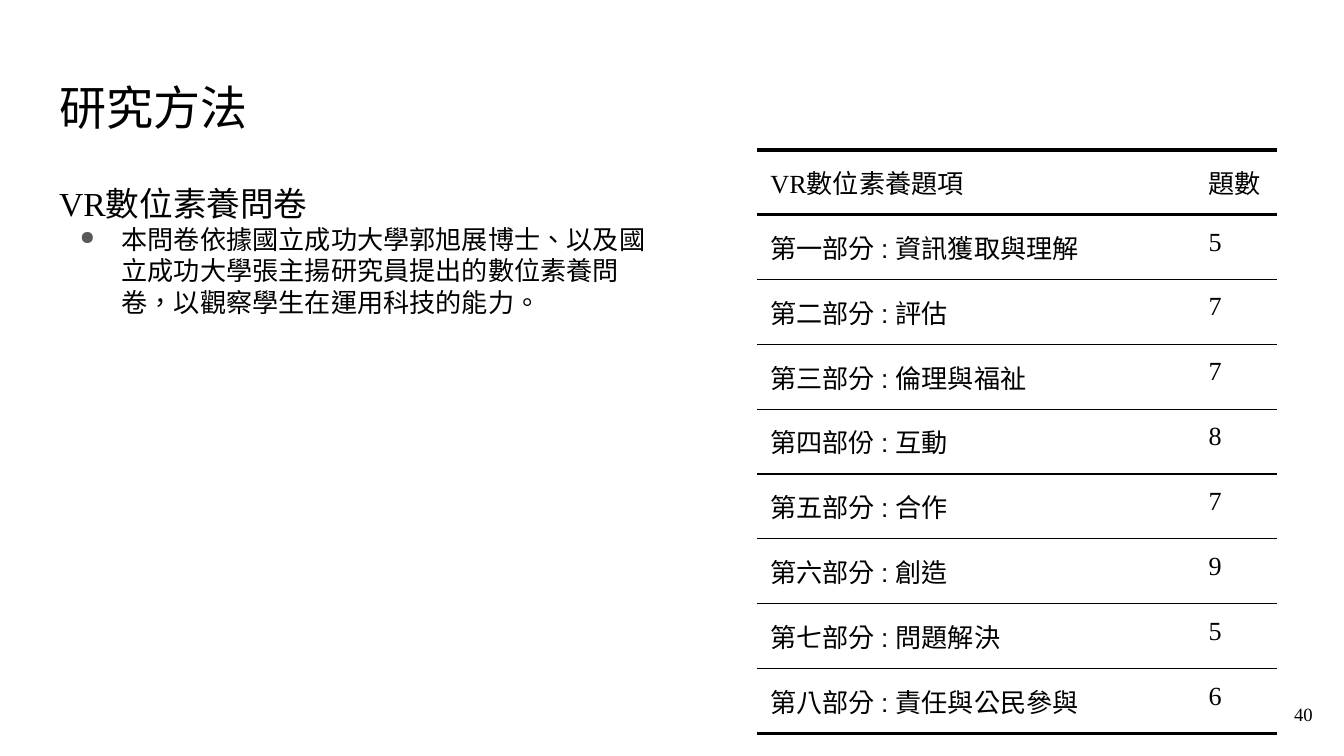
from lxml import etree
from pptx import Presentation
from pptx import util as u
from pptx.dml.color import RGBColor
from pptx.enum import text
from pptx.oxml import ns

BLACK = RGBColor(0x00, 0x00, 0x00)
BULLET_GRAY = RGBColor(0x59, 0x59, 0x59)
SERIF = "Times New Roman"
SANS = "Arial"
INSET = u.Cm(0.25)
THICK, THIN = 2.25, 0.75

HEADER = ([("VR", SERIF), ("數位素養題項", SANS)], [("題數", SANS)])
SECTIONS = [
    ("第一部分 : 資訊獲取與理解", 5),
    ("第二部分 : 評估", 7),
    ("第三部分 : 倫理與福祉", 7),
    ("第四部份 : 互動", 8),
    ("第五部分 : 合作", 7),
    ("第六部分 : 創造", 9),
    ("第七部分 : 問題解決", 5),
    ("第八部分 : 責任與公民參與", 6),
]


def add_run(paragraph, content, size, font=SERIF):
    run = paragraph.add_run()
    run.text = content
    run.font.size = u.Pt(size)
    run.font.name = font
    run.font.color.rgb = BLACK
    run._r.get_or_add_rPr().set("lang", "zh-TW")


def add_text_frame(slide, box, anchor=text.MSO_ANCHOR.TOP):
    frame = slide.shapes.add_textbox(*box).text_frame
    frame.word_wrap = True
    frame.vertical_anchor = anchor
    frame.margin_left = frame.margin_right = INSET
    frame.margin_top = frame.margin_bottom = INSET
    return frame


def add_bullet(paragraph):
    """Give a hanging bullet, and keep punctuation inside the margin."""
    properties = paragraph._p.get_or_add_pPr()
    properties.set("marL", str(u.Cm(1.18)))
    properties.set("indent", str(-u.Cm(0.79)))
    properties.set("hangingPunct", "0")
    color = etree.SubElement(properties, ns.qn("a:buClr"))
    etree.SubElement(color, ns.qn("a:srgbClr"), val=str(BULLET_GRAY))
    etree.SubElement(properties, ns.qn("a:buSzPct"), val="73000")
    etree.SubElement(properties, ns.qn("a:buChar"), char="●")


def add_title(slide, box):
    paragraph = add_text_frame(slide, box).paragraphs[0]
    paragraph.line_spacing = u.Pt(30)
    add_run(paragraph, "研究方法", 25.2)


def add_body(slide, box):
    frame = add_text_frame(slide, box)
    heading = frame.paragraphs[0]
    heading.line_spacing = u.Pt(21.9)
    add_run(heading, "VR數位素養問卷", 18)
    detail = frame.add_paragraph()
    add_bullet(detail)
    detail.line_spacing = u.Pt(16.8)
    add_run(detail, "本問卷依據國立成功大學郭旭展博士、以及國立成功大學張主揚研究員"
                    "提出的數位素養問卷，以觀察學生在運用科技的能力。", 14)


def add_page_number(slide, box):
    paragraph = add_text_frame(slide, box, text.MSO_ANCHOR.MIDDLE).paragraphs[0]
    paragraph.alignment = text.PP_ALIGN.RIGHT
    add_run(paragraph, "40", 10)


def set_borders(cell, top, bottom):
    """Rule the cell above and below only; widths are in points."""
    properties = cell._tc.get_or_add_tcPr()
    for side, width in (("L", 0), ("R", 0), ("T", top), ("B", bottom)):
        line = etree.SubElement(properties, ns.qn(f"a:ln{side}"), w=str(u.Pt(width)))
        if width:
            fill = etree.SubElement(line, ns.qn("a:solidFill"))
            etree.SubElement(fill, ns.qn("a:srgbClr"), val=str(BLACK))
        else:
            etree.SubElement(line, ns.qn("a:noFill"))


def add_section_table(slide, box):
    rows = [HEADER] + [([(name, SANS)], [(str(count), SERIF)])
                       for name, count in SECTIONS]
    rules = [THICK, THICK] + [THIN] * (len(rows) - 2) + [THICK]
    table = slide.shapes.add_table(len(rows), 2, *box).table
    table.first_row = table.horz_banding = False
    table.columns[1].width = u.Cm(1.55)
    table.columns[0].width = box[2] - table.columns[1].width
    for i, row in enumerate(rows):
        table.rows[i].height = int(box[3] / len(rows))
        for j, runs in enumerate(row):
            cell = table.cell(i, j)
            cell.margin_left = cell.margin_right = INSET
            cell.margin_top = cell.margin_bottom = INSET
            set_borders(cell, rules[i], rules[i + 1])
            cell.fill.background()
            for content, font in runs:
                add_run(cell.text_frame.paragraphs[0], content, 14, font)


def main():
    presentation = Presentation()
    presentation.slide_width = u.Cm(25.4)
    presentation.slide_height = u.Cm(14.29)
    slide = presentation.slides.add_slide(presentation.slide_layouts[6])
    add_title(slide, (u.Cm(0.87), u.Cm(1.24), u.Cm(18.19), u.Cm(1.6)))
    add_page_number(slide, (u.Cm(23.54), u.Cm(12.95), u.Cm(1.52), u.Cm(1.09)))
    add_body(slide, (u.Cm(0.87), u.Cm(3.2), u.Cm(11.84), u.Cm(9.5)))
    add_section_table(slide, (u.Cm(14.31), u.Cm(2.83), u.Cm(9.83), u.Cm(11.04)))
    presentation.save("out.pptx")


if __name__ == "__main__":
    main()
